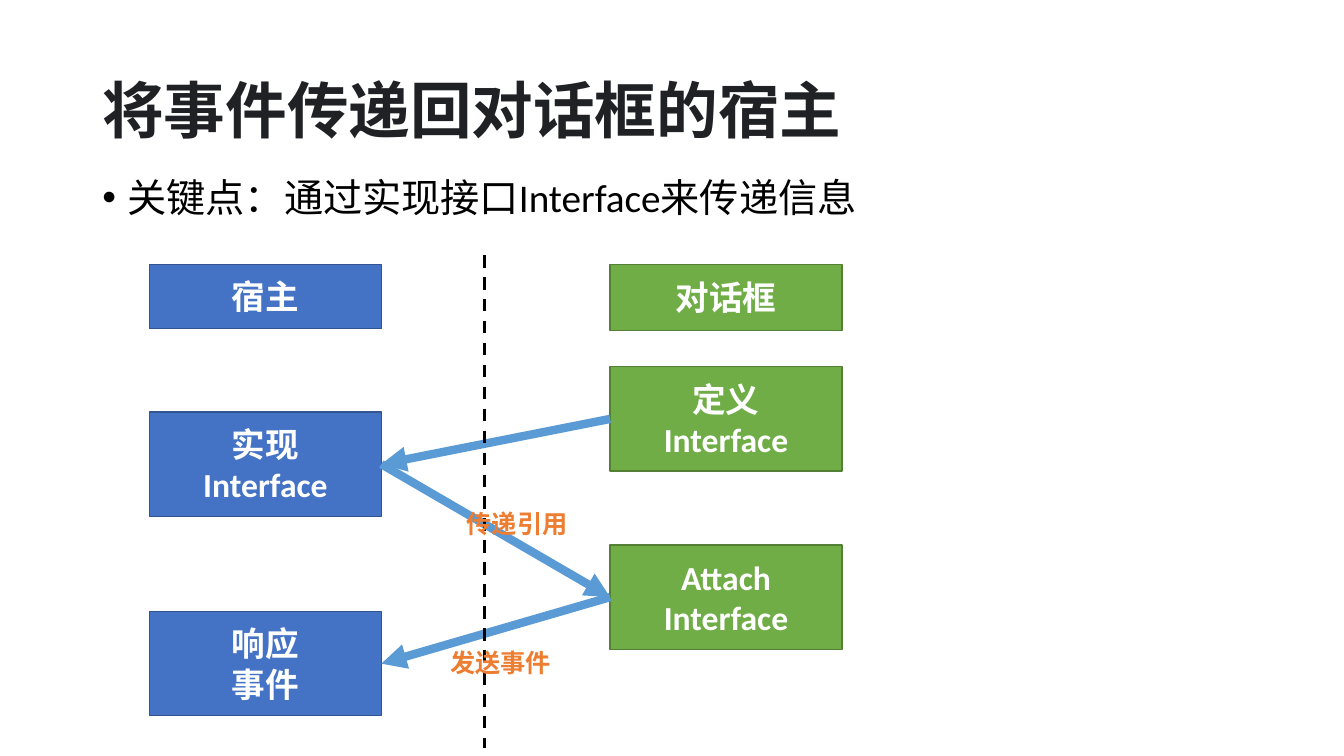
import lxml.etree
import pptx
import pptx.dml.color
import pptx.enum.dml
import pptx.enum.shapes
import pptx.enum.text
import pptx.oxml.ns
import pptx.util

Pt = pptx.util.Pt
qn = pptx.oxml.ns.qn
ANCHOR = pptx.enum.text.MSO_ANCHOR
ALIGN = pptx.enum.text.PP_ALIGN
LEFT_SITE, RIGHT_SITE = 1, 3


def color(hex_string):
    return pptx.dml.color.RGBColor.from_string(hex_string)


class SlideBuilder:
    font = "Calibri"
    host_colors = ("4472C4", "325491")
    dialog_colors = ("70AD47", "538035")
    arrow_color = "5B9BD5"
    label_color = "ED7D31"

    def __init__(self, slide):
        self.slide = slide

    def add_lines(self, frame, lines, size, ink, bold=False, font=None, align=None, spacing=None):
        frame.word_wrap = True
        for index, line in enumerate(lines):
            paragraph = frame.paragraphs[0] if index == 0 else frame.add_paragraph()
            paragraph.alignment = align
            paragraph.line_spacing = spacing
            run = paragraph.add_run()
            run.text = line
            run.font.name = font or self.font
            run.font.size = Pt(size)
            run.font.bold = bold
            run.font.color.rgb = color(ink)

    def text(self, line, left, top, width, height, size, ink, anchor=ANCHOR.TOP, **style):
        box = self.slide.shapes.add_textbox(Pt(left), Pt(top), Pt(width), Pt(height))
        box.text_frame.vertical_anchor = anchor
        self.add_lines(box.text_frame, [line], size, ink, **style)
        return box.text_frame.paragraphs[0]

    def bullet(self, line, left, top, width, height, size, ink):
        paragraph = self.text(line, left, top, width, height, size, ink, spacing=0.9)
        paragraph.space_before = Pt(10)
        properties = paragraph._p.get_or_add_pPr()
        properties.set("marL", str(Pt(18)))
        properties.set("indent", str(-Pt(18)))
        lxml.etree.SubElement(properties, qn("a:buFont"), typeface="Arial")
        lxml.etree.SubElement(properties, qn("a:buChar"), char="•")

    def box(self, lines, left, top, height, colors):
        fill, outline = colors
        shape = self.slide.shapes.add_shape(
            pptx.enum.shapes.MSO_SHAPE.RECTANGLE, Pt(left), Pt(top), Pt(165.6), Pt(height))
        shape.shadow.inherit = False
        shape.fill.solid()
        shape.fill.fore_color.rgb = color(fill)
        shape.line.color.rgb = color(outline)
        shape.line.width = Pt(1)
        shape.text_frame.vertical_anchor = ANCHOR.MIDDLE
        self.add_lines(shape.text_frame, lines, 24, "FFFFFF", bold=True, align=ALIGN.CENTER)
        return shape

    def line(self, ink, width, start=(0, 0), end=(0, 0)):
        connector = self.slide.shapes.add_connector(
            pptx.enum.shapes.MSO_CONNECTOR.STRAIGHT, *(Pt(v) for v in (*start, *end)))
        connector.line.color.rgb = color(ink)
        connector.line.width = Pt(width)
        lxml.etree.SubElement(connector._element.spPr, qn("a:effectLst"))
        return connector

    def arrow(self, source, source_site, target, target_site):
        connector = self.line(self.arrow_color, 6)
        connector.begin_connect(source, source_site)
        connector.end_connect(target, target_site)
        outline = connector._element.spPr.find(qn("a:ln"))
        lxml.etree.SubElement(outline, qn("a:tailEnd"), type="triangle")

    def divider(self, x, top, bottom):
        connector = self.line("000000", 2.25, (x, top), (x, bottom))
        connector.line.dash_style = pptx.enum.dml.MSO_LINE.DASH

    def label(self, line, left, top):
        self.text(line, left, top, 94.3, 28.8, 18, self.label_color, bold=True)


presentation = pptx.Presentation()
presentation.slide_width = Pt(960)
presentation.slide_height = Pt(540)
page = SlideBuilder(presentation.slides.add_slide(presentation.slide_layouts[6]))

# Title and key point
page.text("将事件传递回对话框的宿主", 66, 28.8, 828, 104.4, 44, "202124",
          anchor=ANCHOR.MIDDLE, bold=True, font="Roboto", spacing=0.9)
page.bullet("关键点：通过实现接口Interface来传递信息", 66, 123.8, 828, 38.9, 28, "000000")

# Column heads
host_x, dialog_x = 106.8, 435.8
step_height = 74.5
page.box(["宿主"], host_x, 189, 45.5, page.host_colors)
page.box(["对话框"], dialog_x, 189, 47, page.dialog_colors)

# Steps on each side
define = page.box(["定义", "Interface"], dialog_x, 262, step_height, page.dialog_colors)
implement = page.box(["实现", "Interface"], host_x, 294.3, step_height, page.host_colors)
attach = page.box(["Attach", "Interface"], dialog_x, 389.3, step_height, page.dialog_colors)
respond = page.box(["响应", "事件"], host_x, 436.8, step_height, page.host_colors)

# Flow between the sides
page.arrow(define, LEFT_SITE, implement, RIGHT_SITE)
page.arrow(implement, RIGHT_SITE, attach, LEFT_SITE)
page.arrow(attach, LEFT_SITE, respond, RIGHT_SITE)
page.divider(346.3, 182.2, 534.3)

# Flow labels
page.label("发送事件", 314.6, 458.6)
page.label("传递引用", 326.2, 359.6)

presentation.save("out.pptx")
